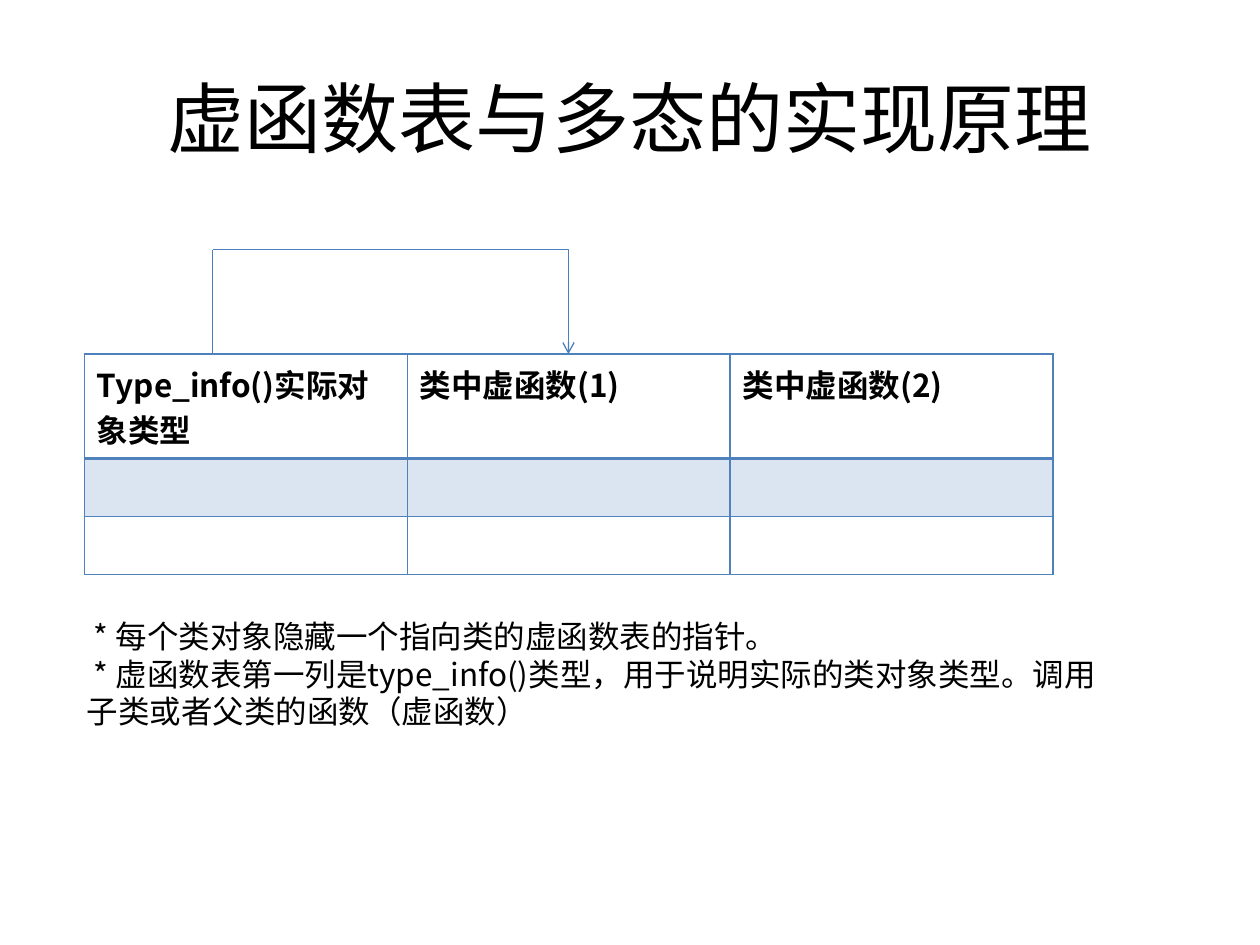
from lxml.etree import SubElement
from pptx import Presentation
from pptx.dml.color import RGBColor
from pptx.enum.shapes import MSO_CONNECTOR
from pptx.enum.text import MSO_ANCHOR, PP_ALIGN
from pptx.oxml.ns import qn
from pptx.util import Cm, Pt

BLACK = RGBColor(0x00, 0x00, 0x00)
BLUE = RGBColor(0x4F, 0x81, 0xBD)
ARROW_BLUE = RGBColor(0x4B, 0x7E, 0xBC)
CJK_FONT = "Noto Sans CJK SC"


class VtableSlide:
    def __init__(self, slide):
        self.slide = slide

    def style(self, frame, size, font=CJK_FONT, bold=False, align=None, spacing=None):
        for paragraph in frame.paragraphs:
            paragraph.alignment = align
            paragraph.line_spacing = spacing
            for part in [paragraph, *paragraph.runs]:
                part.font.size = Pt(size)
                part.font.name = font
                part.font.bold = bold
                part.font.color.rgb = BLACK
            for run in paragraph.runs:
                east_asian = SubElement(run.font._element, qn("a:ea"))
                east_asian.set("typeface", CJK_FONT)

    def text(self, lines, left, top, width, height, size, anchor=MSO_ANCHOR.TOP, **style):
        frame = self.slide.shapes.add_textbox(Cm(left), Cm(top), Cm(width), Cm(height)).text_frame
        frame.word_wrap = True
        frame.vertical_anchor = anchor
        frame.text = "\n".join(lines)
        self.style(frame, size, **style)

    def border(self, cell, side, points):
        line = SubElement(cell._tc.get_or_add_tcPr(), qn(f"a:ln{side}"), w=str(Pt(points)))
        fill = SubElement(line, qn("a:solidFill"))
        SubElement(fill, qn("a:srgbClr"), val=str(BLUE))

    def table(self, rows, left, top, column_width, row_heights, tinted_row):
        table = self.slide.shapes.add_table(
            len(rows), len(rows[0]), Cm(left), Cm(top),
            Cm(column_width * len(rows[0])), Cm(sum(row_heights))).table
        for column in table.columns:
            column.width = Cm(column_width)
        for r, (row, height) in enumerate(zip(rows, row_heights)):
            table.rows[r].height = Cm(height)
            for c, wording in enumerate(row):
                cell = table.cell(r, c)
                cell.text = wording
                self.style(cell.text_frame, 18, bold=r == 0)
                for side in "LRTB":
                    header_edge = (r, side) in ((0, "B"), (1, "T"))
                    self.border(cell, side, 2 if header_edge else 1)
                if r == tinted_row:
                    cell.fill.solid()
                    cell.fill.fore_color.rgb = BLUE
                    tint = cell._tc.tcPr.find(qn("a:solidFill"))[0]
                    SubElement(tint, qn("a:alpha"), val="20000")
                else:
                    cell.fill.background()

    def connector(self, start, end, bent_arrow=False):
        kind = MSO_CONNECTOR.ELBOW if bent_arrow else MSO_CONNECTOR.STRAIGHT
        link = self.slide.shapes.add_connector(kind, *map(Cm, start + end))
        link.line.color.rgb = ARROW_BLUE
        link.line.width = Pt(0.75)
        properties = link._element.spPr
        if bent_arrow:
            properties.find(qn("a:prstGeom")).set("prst", "bentConnector2")
            SubElement(properties.find(qn("a:ln")), qn("a:tailEnd"), type="arrow")
        SubElement(properties, qn("a:effectLst"))


presentation = Presentation()
presentation.slide_width = Cm(25.4)
presentation.slide_height = Cm(19.05)
page = VtableSlide(presentation.slides.add_slide(presentation.slide_layouts[6]))

page.text(["虚函数表与多态的实现原理"], 1.27, 0.76, 22.86, 3.18, 44,
          anchor=MSO_ANCHOR.MIDDLE, font="Calibri", align=PP_ALIGN.CENTER)

table_top, link_top, type_info_x, function_x = 7.14, 5.03, 4.29, 11.46
headers = ["Type_info()实际对象类型", "类中虚函数(1)", "类中虚函数(2)"]
page.table([headers, [""] * 3, [""] * 3], 1.7, table_top, 6.51, [2.1, 1.17, 1.17], tinted_row=1)
page.connector((type_info_x, link_top), (function_x, table_top), bent_arrow=True)
page.connector((type_info_x, link_top), (type_info_x, table_top))

page.text([" * 每个类对象隐藏一个指向类的虚函数表的指针。",
           " * 虚函数表第一列是type_info()类型，用于说明实际的类对象类型。调用子类或者父类的函数（虚函数）"],
          1.5, 12.32, 21, 2.57, 18, spacing=Pt(21.5))

presentation.save("out.pptx")
